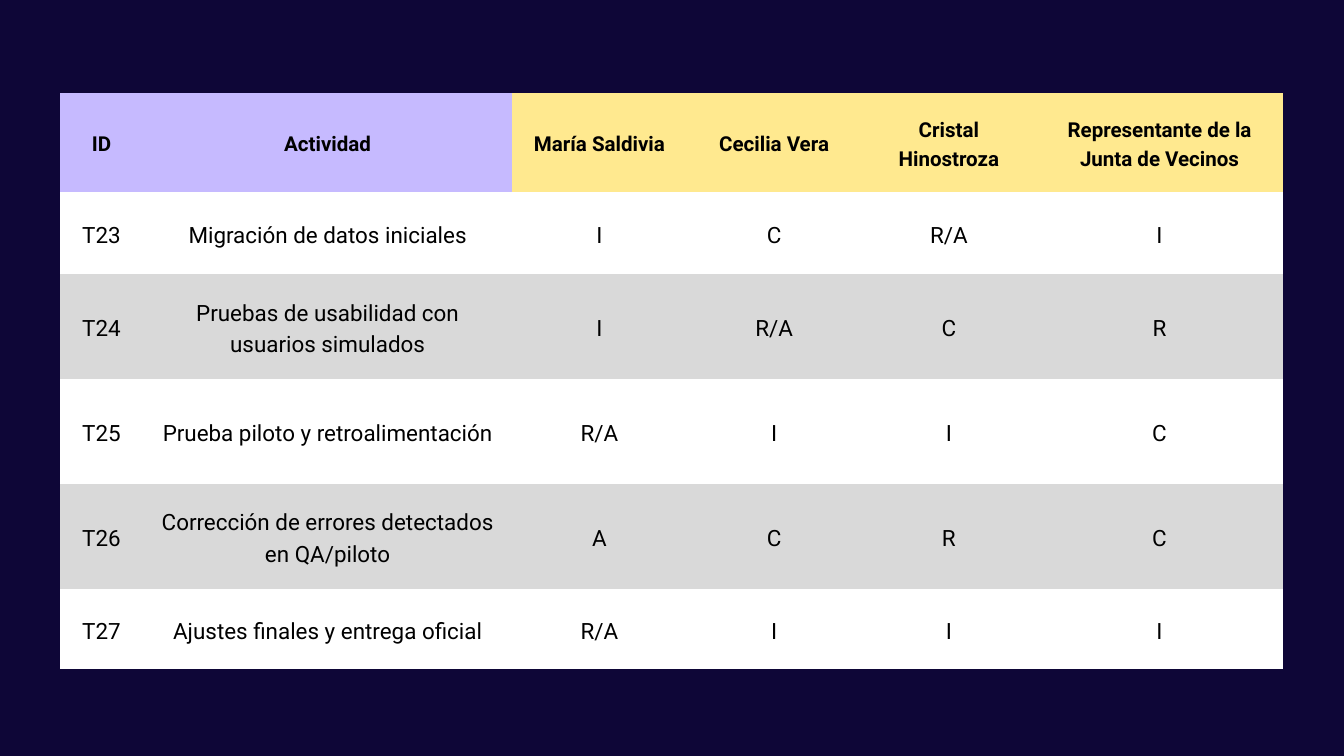
from lxml.etree import SubElement
from pptx import Presentation
from pptx.dml.color import RGBColor
from pptx.enum.text import MSO_ANCHOR as Anchor, PP_ALIGN as Align
from pptx.oxml.ns import qn
from pptx.util import Inches, Pt

COLUMN_WIDTHS = [1.24, 5.49, 2.6, 2.6, 2.6, 3.67]
ROW_HEIGHTS = [1.48, 1.22, 1.56, 1.56, 1.56, 1.2]
HEADER = ["ID", "Actividad", "María Saldivia", "Cecilia Vera",
          "Cristal Hinostroza", "Representante de la Junta de Vecinos"]
TASKS = [
    ["T23", "Migración de datos iniciales", "I", "C", "R/A", "I"],
    ["T24", "Pruebas de usabilidad con usuarios simulados", "I", "R/A", "C", "R"],
    ["T25", "Prueba piloto y retroalimentación", "R/A", "I", "I", "C"],
    ["T26", "Corrección de errores detectados en QA/piloto", "A", "C", "R", "C"],
    ["T27", "Ajustes finales y entrega oficial", "R/A", "I", "I", "I"],
]
TASK_COLUMNS = 2
PADDING = 0.21


def paint(fill, color):
    fill.solid()
    fill.fore_color.rgb = RGBColor.from_string(color)


def cell_color(row, column):
    if row == 0:
        return "C6BAFF" if column < TASK_COLUMNS else "FFE98F"
    return "FFFFFF" if row % 2 else "D9D9D9"


def hide_borders(cell):
    properties = cell._tc.get_or_add_tcPr()
    for side in ("a:lnL", "a:lnR", "a:lnT", "a:lnB"):
        line = SubElement(properties, qn(side), w="0")
        SubElement(line, qn("a:noFill"))


def format_cell(cell, text, color, is_header):
    hide_borders(cell)
    paint(cell.fill, color)
    cell.vertical_anchor = Anchor.MIDDLE
    cell.margin_left = cell.margin_right = Inches(PADDING)
    cell.margin_top = cell.margin_bottom = Inches(PADDING)
    cell.text = text
    para = cell.text_frame.paragraphs[0]
    para.alignment = Align.CENTER
    size = 22 if is_header else 24
    para.line_spacing = Pt(size * 1.4)
    font = para.runs[0].font
    font.name = "Roboto"
    font.size = Pt(size)
    font.bold = is_header
    paint(font.fill, "000000")


def add_responsibility_table(page, left, top):
    rows = [HEADER] + TASKS
    frame = page.shapes.add_table(
        len(rows), len(HEADER), Inches(left), Inches(top),
        Inches(sum(COLUMN_WIDTHS)), Inches(sum(ROW_HEIGHTS)))
    table = frame.table
    table.horz_banding = False
    table.first_row = False
    for column, width in zip(table.columns, COLUMN_WIDTHS):
        column.width = Inches(width)
    for row, height in zip(table.rows, ROW_HEIGHTS):
        row.height = Inches(height)
    for row, texts in enumerate(rows):
        for column, text in enumerate(texts):
            format_cell(table.cell(row, column), text,
                        cell_color(row, column), row == 0)


def main():
    deck = Presentation()
    deck.slide_width = Inches(20)
    deck.slide_height = Inches(11.25)
    page = deck.slides.add_slide(deck.slide_layouts[6])
    paint(page.background.fill, "0E0637")
    add_responsibility_table(page, 0.89, 1.38)
    deck.save("out.pptx")


if __name__ == "__main__":
    main()
